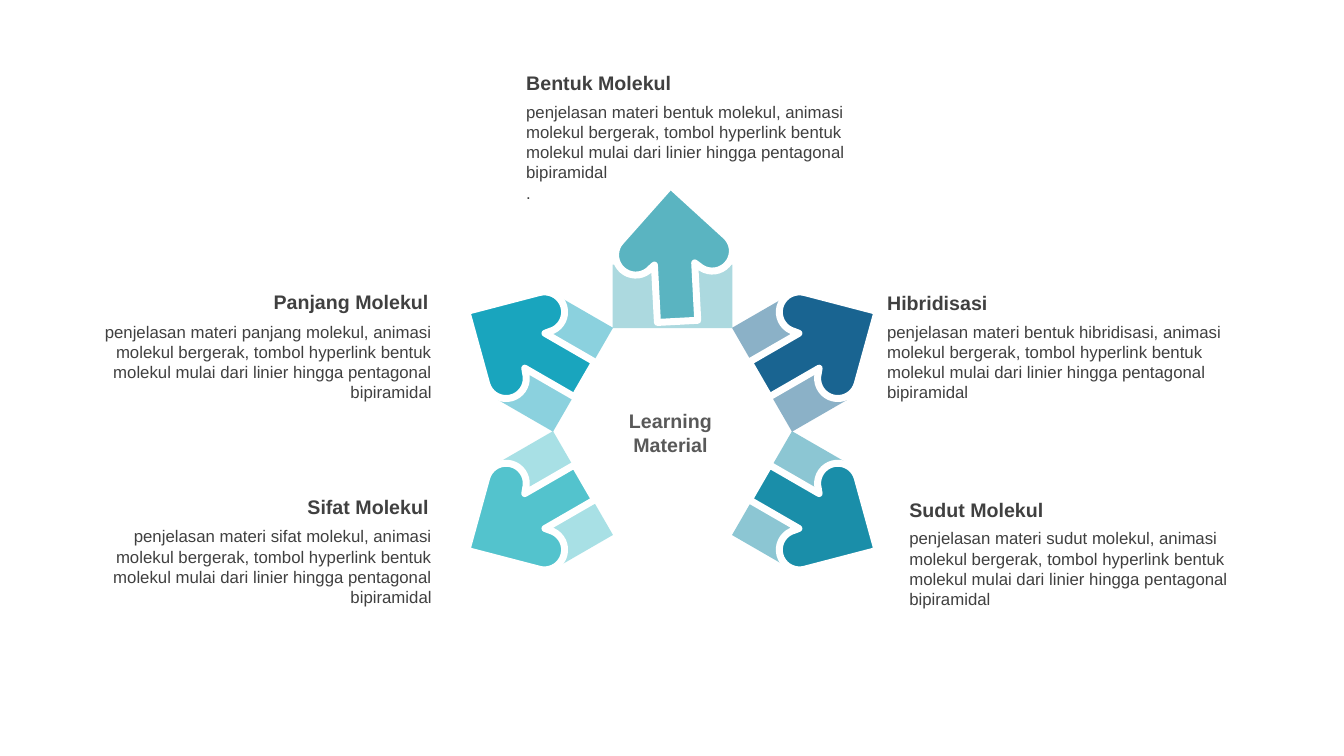
from dataclasses import dataclass
from math import cos, radians, sin

from lxml.etree import SubElement
from pptx import Presentation
from pptx.dml.color import RGBColor
from pptx.enum.shapes import MSO_SHAPE as Shape
from pptx.enum.text import MSO_AUTO_SIZE as AutoSize, PP_ALIGN as Align
from pptx.oxml.ns import qn
from pptx.slide import Slide
from pptx.util import Inches, Pt


@dataclass(frozen=True)
class Theme:
    """Colours, font and type sizes of the slide."""
    font: str = "Arial"
    text: str = "404040"
    hub: str = "595959"
    white: str = "FFFFFF"
    heading: int = 14
    body: int = 12
    outline: int = 5


@dataclass(frozen=True)
class Topic:
    """One arrow of the ring with its heading and description."""
    heading: str
    body: str
    color: str
    ring_angle: int
    arrow_angle: int
    tip: tuple[float, float]
    left: float
    top: float
    body_top: float
    body_height: float = 0.91
    align: Align = Align.LEFT


THEME = Theme()
RING_CENTER = (6.67, 4.28)
RING_RADIUS = 1.34
BLOCK_WIDTH, BLOCK_HEIGHT = 1.19, 0.63
CAP_X, CAP_Y, CAP_RADIUS = 0.38, 0.67, 0.2
SHAFT_HALF, SHAFT_TOP, SHAFT_END = 0.2, 0.78, 1.35
ENDING = "animasi molekul bergerak, tombol hyperlink bentuk molekul mulai dari linier hingga pentagonal bipiramidal"

TOPICS = [
    Topic("Hibridisasi", f"penjelasan materi bentuk hibridisasi, {ENDING}",
          "196491", 60, 60, (8.7, 3.09), 8.7, 2.84, 3.14),
    Topic("Sudut Molekul", f"penjelasan materi sudut molekul, {ENDING}",
          "1A8EA9", 120, 120, (8.7, 5.46), 8.92, 4.89, 5.19),
    Topic("Bentuk Molekul", f"penjelasan materi bentuk molekul, {ENDING}\n.",
          "5AB4C1", 0, -3, (6.65, 1.84), 5.12, 0.65, 0.96, 1.11),
    Topic("Sifat Molekul", f"penjelasan materi sifat molekul, {ENDING}",
          "53C3CD", 240, 240, (4.63, 5.46), 0.8, 4.86, 5.17, align=Align.RIGHT),
    Topic("Panjang Molekul", f"penjelasan materi panjang molekul, {ENDING}",
          "19A5BE", 300, 300, (4.63, 3.09), 0.8, 2.83, 3.14, align=Align.RIGHT),
]


def arrow_outline() -> list[tuple[float, float]]:
    """Return an upward arrow with rounded barbs and its tip at the origin."""
    cap = [(CAP_X + CAP_RADIUS * cos(radians(angle)), CAP_Y + CAP_RADIUS * sin(radians(angle)))
           for angle in range(-45, 136, 10)]
    right = cap + [(SHAFT_HALF, SHAFT_TOP), (SHAFT_HALF, SHAFT_END)]
    return [(0, 0)] + right + [(-x, y) for x, y in reversed(right)]


def add_block(slide: Slide, topic: Topic) -> None:
    """Draw the half-transparent block behind an arrow."""
    angle = radians(topic.ring_angle)
    center_x = RING_CENTER[0] + RING_RADIUS * sin(angle)
    center_y = RING_CENTER[1] - RING_RADIUS * cos(angle)
    block = slide.shapes.add_shape(
        Shape.RECTANGLE, Inches(center_x - BLOCK_WIDTH / 2), Inches(center_y - BLOCK_HEIGHT / 2),
        Inches(BLOCK_WIDTH), Inches(BLOCK_HEIGHT))
    block.rotation = (topic.ring_angle + 180) % 360
    block.shadow.inherit = False
    block.fill.solid()
    block.fill.fore_color.rgb = RGBColor.from_string(topic.color)
    color = block.fill._xPr.find(qn("a:solidFill"))[0]
    SubElement(color, qn("a:alpha"), val="50000")
    block.line.fill.background()


def add_arrow(slide: Slide, topic: Topic) -> None:
    """Draw the arrow turned about its tip."""
    angle = radians(topic.arrow_angle)
    points = [(Inches(topic.tip[0] + x * cos(angle) - y * sin(angle)),
               Inches(topic.tip[1] + x * sin(angle) + y * cos(angle)))
              for x, y in arrow_outline()]
    builder = slide.shapes.build_freeform(*points[0])
    builder.add_line_segments(points[1:], close=True)
    arrow = builder.convert_to_shape()
    arrow.shadow.inherit = False
    arrow.fill.solid()
    arrow.fill.fore_color.rgb = RGBColor.from_string(topic.color)
    arrow.line.color.rgb = RGBColor.from_string(THEME.white)
    arrow.line.width = Pt(THEME.outline)


def add_text(slide: Slide, text: str, left: float, top: float, width: float, height: float,
             size: int, color: str, bold: bool, align: Align) -> None:
    """Add a wrapped text box in one style."""
    box = slide.shapes.add_textbox(Inches(left), Inches(top), Inches(width), Inches(height))
    frame = box.text_frame
    frame.word_wrap = True
    frame.auto_size = AutoSize.SHAPE_TO_FIT_TEXT
    frame.text = text
    for para in frame.paragraphs:
        para.alignment = align
        for span in para.runs:
            span.font.name = THEME.font
            span.font.size = Pt(size)
            span.font.bold = bold
            span.font.color.rgb = RGBColor.from_string(color)


def main() -> None:
    """Build and save the slide."""
    deck = Presentation()
    deck.slide_width, deck.slide_height = Inches(13.33), Inches(7.5)
    slide = deck.slides.add_slide(deck.slide_layouts[6])
    for topic in TOPICS:
        add_block(slide, topic)
        add_arrow(slide, topic)
    add_text(slide, "Learning Material", 5.95, 4.01, 1.4, 0.57,
             THEME.heading, THEME.hub, True, Align.CENTER)
    for topic in TOPICS:
        add_text(slide, topic.body, topic.left, topic.body_top, 3.58, topic.body_height,
                 THEME.body, THEME.text, False, topic.align)
        add_text(slide, topic.heading, topic.left, topic.top, 3.55, 0.34,
                 THEME.heading, THEME.text, True, topic.align)
    deck.save("out.pptx")


if __name__ == "__main__":
    main()
